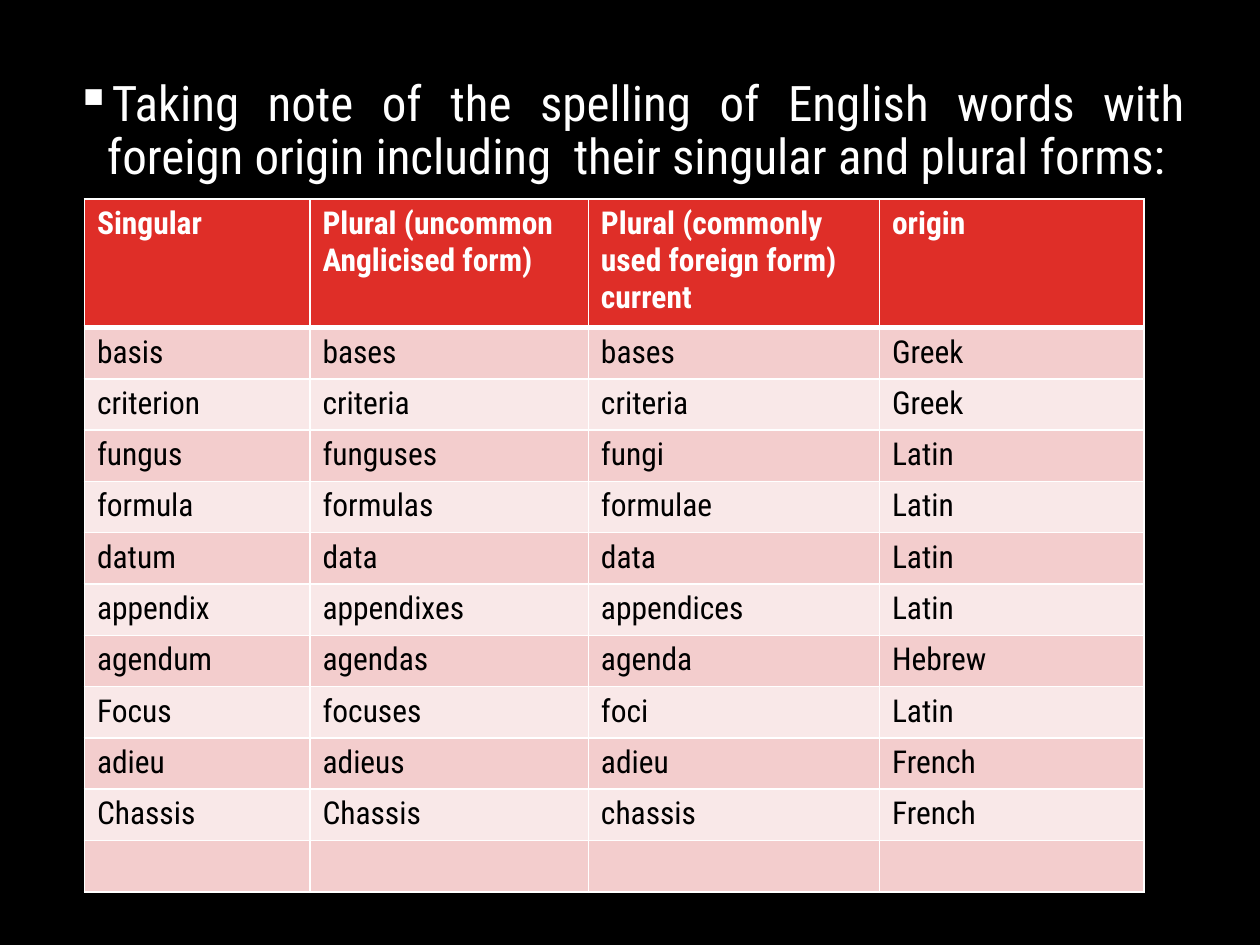
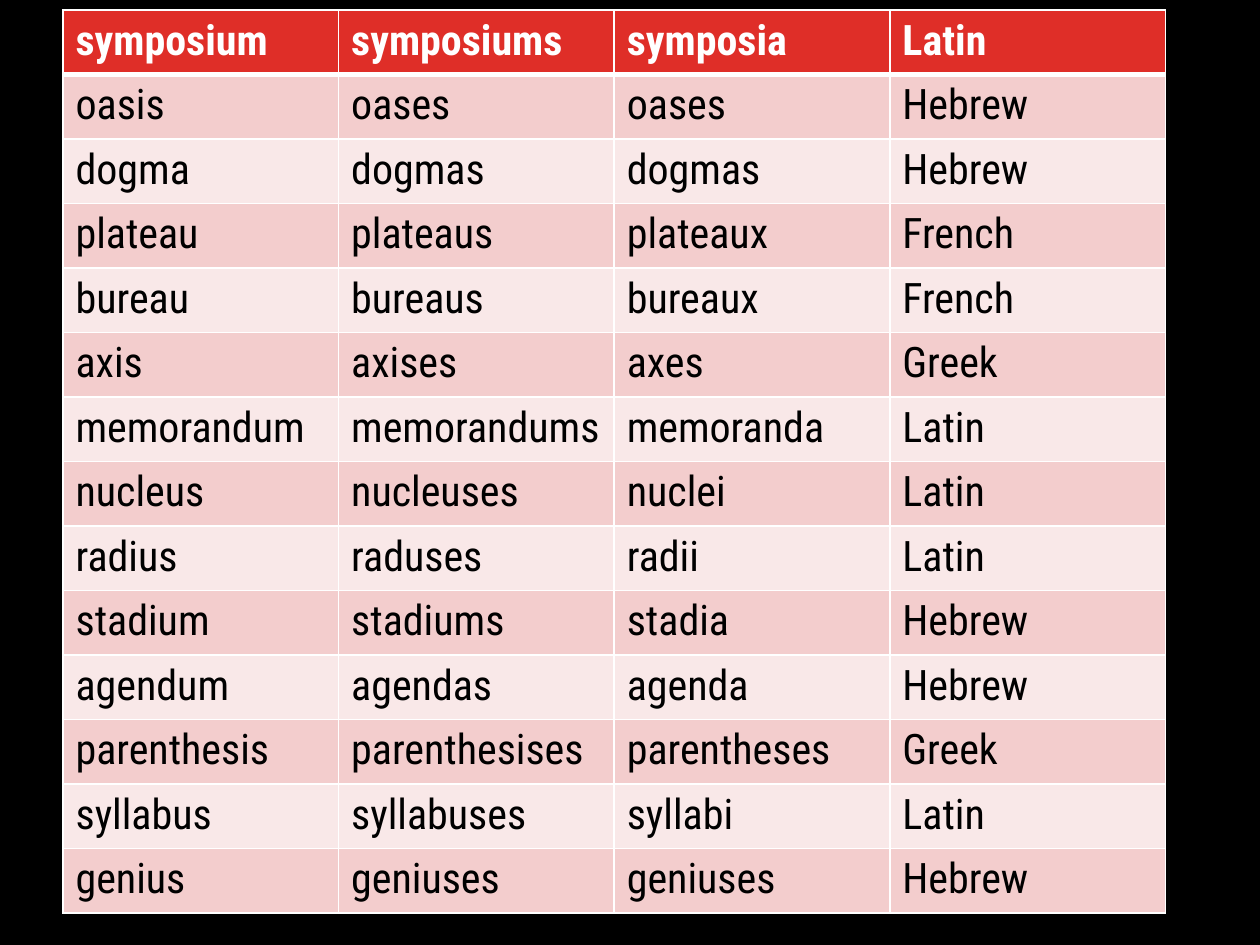
"""Build two slides of English words with foreign plurals."""
from dataclasses import dataclass

from lxml import etree
from pptx import Presentation
from pptx import util as u
from pptx.dml.color import RGBColor
from pptx.enum import text
from pptx.oxml.ns import qn


@dataclass(frozen=True)
class Theme:
    """Colours, font and type sizes that the slides share."""
    back: str = "000000"
    light: str = "FFFFFF"
    dark: str = "000000"
    head: str = "DF2E28"
    bands: tuple = ("F3CDCD", "F9E8E8")
    font: str = "Roboto Condensed"
    lead: int = 28
    small: int = 18
    large: int = 24
    thin: int = 1
    thick: int = 3


LOOK = Theme()

LEAD = ("Taking note of the spelling of English words with foreign origin "
        "including  their singular and plural forms:")

FORMS = [
    ("Singular", "Plural (uncommon Anglicised form)",
     "Plural (commonly used foreign form) current", "origin"),
    ("basis", "bases", "bases", "Greek"),
    ("criterion", "criteria", "criteria", "Greek"),
    ("fungus", "funguses", "fungi", "Latin"),
    ("formula", "formulas", "formulae", "Latin"),
    ("datum", "data", "data", "Latin"),
    ("appendix", "appendixes", "appendices", "Latin"),
    ("agendum", "agendas", "agenda", "Hebrew"),
    ("Focus", "focuses", "foci", "Latin"),
    ("adieu", "adieus", "adieu", "French"),
    ("Chassis", "Chassis", "chassis", "French"),
    ("", "", "", ""),
]

MORE = [
    ("symposium", "symposiums", "symposia", "Latin"),
    ("oasis", "oases", "oases", "Hebrew"),
    ("dogma", "dogmas", "dogmas", "Hebrew"),
    ("plateau", "plateaus", "plateaux", "French"),
    ("bureau", "bureaus", "bureaux", "French"),
    ("axis", "axises", "axes", "Greek"),
    ("memorandum", "memorandums", "memoranda", "Latin"),
    ("nucleus", "nucleuses", "nuclei", "Latin"),
    ("radius", "raduses", "radii", "Latin"),
    ("stadium", "stadiums", "stadia", "Hebrew"),
    ("agendum", "agendas", "agenda", "Hebrew"),
    ("parenthesis", "parenthesises", "parentheses", "Greek"),
    ("syllabus", "syllabuses", "syllabi", "Latin"),
    ("genius", "geniuses", "geniuses", "Hebrew"),
]


def add_slide(deck):
    """Add a blank slide with the shared background."""
    slide = deck.slides.add_slide(deck.slide_layouts[6])
    fill = slide.background.fill
    fill.solid()
    fill.fore_color.rgb = RGBColor.from_string(LOOK.back)
    return slide


def style(font, size, color, bold=False):
    """Give a font the shared face and the stated look."""
    font.name = LOOK.font
    font.size = u.Pt(size)
    font.bold = bold
    font.color.rgb = RGBColor.from_string(color)


def add_lead(slide, words, left, top, width, height):
    """Add a justified paragraph with a square bullet."""
    box = slide.shapes.add_textbox(*map(u.Inches, (left, top, width, height)))
    frame = box.text_frame
    frame.word_wrap = True
    para = frame.paragraphs[0]
    para.text = words
    para.alignment = text.PP_ALIGN.JUSTIFY
    para.line_spacing = 0.9
    props = para._p.get_or_add_pPr()
    props.set("marL", str(u.Inches(0.25)))
    props.set("indent", str(-u.Inches(0.25)))
    etree.SubElement(props, qn("a:buChar"), char="▪")
    style(para.runs[0].font, LOOK.lead, LOOK.light)


def edge(cell, widths):
    """Draw the cell borders, widths given as left, right, top, bottom."""
    props = cell._tc.get_or_add_tcPr()
    for spot, (side, width) in enumerate(zip("LRTB", widths)):
        line = etree.Element(qn(f"a:ln{side}"), w=str(u.Pt(width)))
        fill = etree.SubElement(line, qn("a:solidFill"))
        etree.SubElement(fill, qn("a:srgbClr"), val=LOOK.light)
        props.insert(spot, line)


def fill_cell(cell, words, row, size):
    """Write one cell and colour it as header or band."""
    head = row == 0
    cell.text_frame.text = words
    for run in cell.text_frame.paragraphs[0].runs:
        style(run.font, size, LOOK.light if head else LOOK.dark, head)
    cell.fill.solid()
    shade = LOOK.head if head else LOOK.bands[(row - 1) % 2]
    cell.fill.fore_color.rgb = RGBColor.from_string(shade)
    above = LOOK.thick if row == 1 else LOOK.thin
    below = LOOK.thick if head else LOOK.thin
    edge(cell, (LOOK.thin, LOOK.thin, above, below))


def add_words(slide, data, left, top, cols, first, height, size):
    """Add a word table whose rows below the first are equally high."""
    place = map(u.Inches, (left, top, sum(cols), height))
    table = slide.shapes.add_table(len(data), len(cols), *place).table
    for col, width in zip(table.columns, cols):
        col.width = u.Inches(width)
    rest = (height - first) / (len(data) - 1)
    for row, words in enumerate(data):
        table.rows[row].height = u.Inches(rest if row else first)
        for col, word in enumerate(words):
            fill_cell(table.cell(row, col), word, row, size)


def main():
    """Build and save the deck."""
    deck = Presentation()
    deck.slide_width, deck.slide_height = u.Inches(10), u.Inches(7.5)

    slide = add_slide(deck)
    add_lead(slide, LEAD, 0.5, 0.58, 9, 6.33)
    add_words(slide, FORMS, 0.67, 1.58, (1.79, 2.21, 2.31, 2.1),
              1.02, 5.5, LOOK.small)

    slide = add_slide(deck)
    tall = 7.17
    add_words(slide, MORE, 0.5, 0.08, [8.75 / 4] * 4,
              tall / len(MORE), tall, LOOK.large)

    deck.save("out.pptx")


if __name__ == "__main__":
    main()
